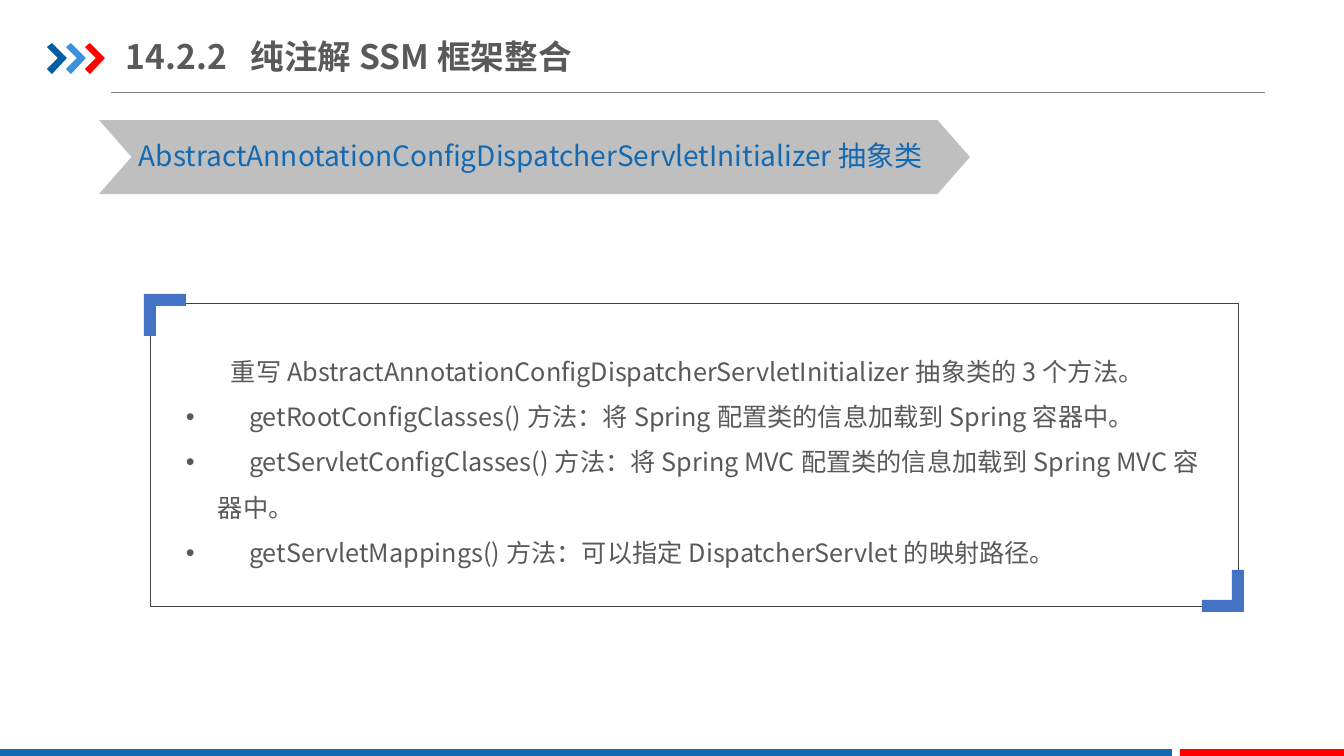
from dataclasses import dataclass
from lxml.etree import SubElement
from pptx import Presentation
from pptx.dml.color import RGBColor
from pptx.enum.shapes import MSO_CONNECTOR, MSO_SHAPE
from pptx.enum.text import MSO_ANCHOR
from pptx.oxml.ns import qn
from pptx.util import Pt

SLIDE_W, SLIDE_H = 1344, 756
SCALE = 12192000 / SLIDE_W


@dataclass(frozen=True)
class Theme:
    font: str = "Noto Sans CJK SC"
    text: str = "595959"
    blue: str = "1369B2"
    navy: str = "005DA2"
    sky: str = "3992DB"
    red: str = "FF0000"
    banner: str = "BFBFBF"
    rule: str = "808080"
    frame: str = "404040"
    corner: str = "4472C4"
    title_size: int = 24
    banner_size: int = 20
    body_size: int = 18


THEME = Theme()


def px(length):
    return round(length * SCALE)


def color(code):
    return RGBColor.from_string(code)


def paint(shape, fill):
    shape.shadow.inherit = False
    shape.fill.solid()
    shape.fill.fore_color.rgb = color(fill)
    shape.line.fill.background()


def add_block(slide, kind, box, fill):
    block = slide.shapes.add_shape(kind, *map(px, box))
    paint(block, fill)
    return block


def add_outline(slide, points, fill):
    builder = slide.shapes.build_freeform(*points[0], scale=SCALE)
    builder.add_line_segments(points[1:], close=True)
    paint(builder.convert_to_shape(), fill)


def add_text_frame(slide, box, wrap=True):
    frame = slide.shapes.add_textbox(*map(px, box)).text_frame
    frame.word_wrap = wrap
    return frame


def add_run(paragraph, text, size, code, bold=False):
    run = paragraph.add_run()
    run.text = text
    run.font.name = THEME.font
    run.font.size = Pt(size)
    run.font.bold = bold
    run.font.color.rgb = color(code)
    SubElement(run.font._element, qn("a:ea")).set("typeface", THEME.font)


def add_bullet(paragraph, hang):
    props = paragraph._p.get_or_add_pPr()
    props.set("marL", str(px(hang)))
    props.set("indent", str(-px(hang)))
    SubElement(props, qn("a:buFont")).set("typeface", "Arial")
    SubElement(props, qn("a:buChar")).set("char", "•")


def draw_header(slide, x, y, w, h, title):
    # Three arrows
    arrow = [(0, 4), (5, 0), (20, 15), (5, 31), (0, 26), (11, 15)]
    for i, fill in enumerate((THEME.navy, THEME.sky, THEME.red)):
        add_outline(slide, [(x + 19 * i + dx, y + 14 + dy) for dx, dy in arrow], fill)

    # Rule under the title
    rule = slide.shapes.add_connector(
        MSO_CONNECTOR.STRAIGHT, px(x + 64), px(y + h), px(x + w), px(y + h))
    rule.line.color.rgb = color(THEME.rule)
    rule.line.width = Pt(0.5)
    SubElement(rule._element.spPr, qn("a:effectLst"))

    # Title
    heading = add_text_frame(slide, (x + 79, y, 450, 55))
    heading.margin_left = heading.margin_right = 0
    heading.vertical_anchor = MSO_ANCHOR.MIDDLE
    add_run(heading.paragraphs[0], title, THEME.title_size, THEME.text, bold=True)


def draw_banner(slide, x, y, w, h, label):
    chevron = add_block(slide, MSO_SHAPE.CHEVRON, (x, y, w, h), THEME.banner)
    chevron.adjustments[0] = 0.44
    caption = add_text_frame(slide, (x + 30, y + 14, w - 50, h - 30), wrap=False)
    add_run(caption.paragraphs[0], label, THEME.banner_size, THEME.blue)


def draw_method_panel(slide, x, y, w, h, intro, methods):
    # Intro and bulleted methods
    body = add_text_frame(slide, (x + 26, y + 33, w - 53, h - 59))
    for i, line in enumerate([intro, *methods]):
        paragraph = body.add_paragraph() if i else body.paragraphs[0]
        paragraph.line_spacing = 1.5
        if i:
            add_bullet(paragraph, 32)
        else:
            paragraph._p.get_or_add_pPr().set("indent", str(px(45)))
        add_run(paragraph, line, THEME.body_size, THEME.text)

    # Thin frame
    frame = slide.shapes.add_shape(
        MSO_SHAPE.ROUNDED_RECTANGLE, *map(px, (x, y, w, h)))
    frame.adjustments[0] = 0
    frame.shadow.inherit = False
    frame.fill.background()
    frame.line.color.rgb = color(THEME.frame)
    frame.line.width = Pt(0.25)

    # Corner brackets, the second one turned half round
    bracket = [(0, 0), (42, 0), (42, 12), (12, 12), (12, 42), (0, 42)]
    for left, top, turn in ((x - 6, y - 9, 1), (x + w + 6, y + h + 6, -1)):
        add_outline(slide, [(left + turn * dx, top + turn * dy) for dx, dy in bracket],
                    THEME.corner)


def draw_footer(slide, x, y, w, h):
    blue_w, gap = 1172, 8
    add_block(slide, MSO_SHAPE.RECTANGLE, (x, y, blue_w, h), THEME.blue)
    add_block(slide, MSO_SHAPE.RECTANGLE,
              (x + blue_w + gap, y, w - blue_w - gap, h), THEME.red)


def main():
    deck = Presentation()
    deck.slide_width, deck.slide_height = px(SLIDE_W), px(SLIDE_H)
    slide = deck.slides.add_slide(deck.slide_layouts[6])

    draw_header(slide, 47, 29, 1218, 63, "14.2.2  纯注解SSM框架整合")
    draw_footer(slide, 0, 749, SLIDE_W, 9)
    draw_banner(slide, 99, 120, 871, 74,
                "AbstractAnnotationConfigDispatcherServletInitializer抽象类")
    draw_method_panel(
        slide, 150, 303, 1088, 303,
        "重写AbstractAnnotationConfigDispatcherServletInitializer抽象类的3个方法。",
        [
            "　getRootConfigClasses()方法：将Spring配置类的信息加载到Spring容器中。",
            "　getServletConfigClasses()方法：将Spring MVC配置类的信息加载到Spring MVC容器中。",
            "　getServletMappings()方法：可以指定DispatcherServlet的映射路径。",
        ])
    deck.save("out.pptx")


if __name__ == "__main__":
    main()
